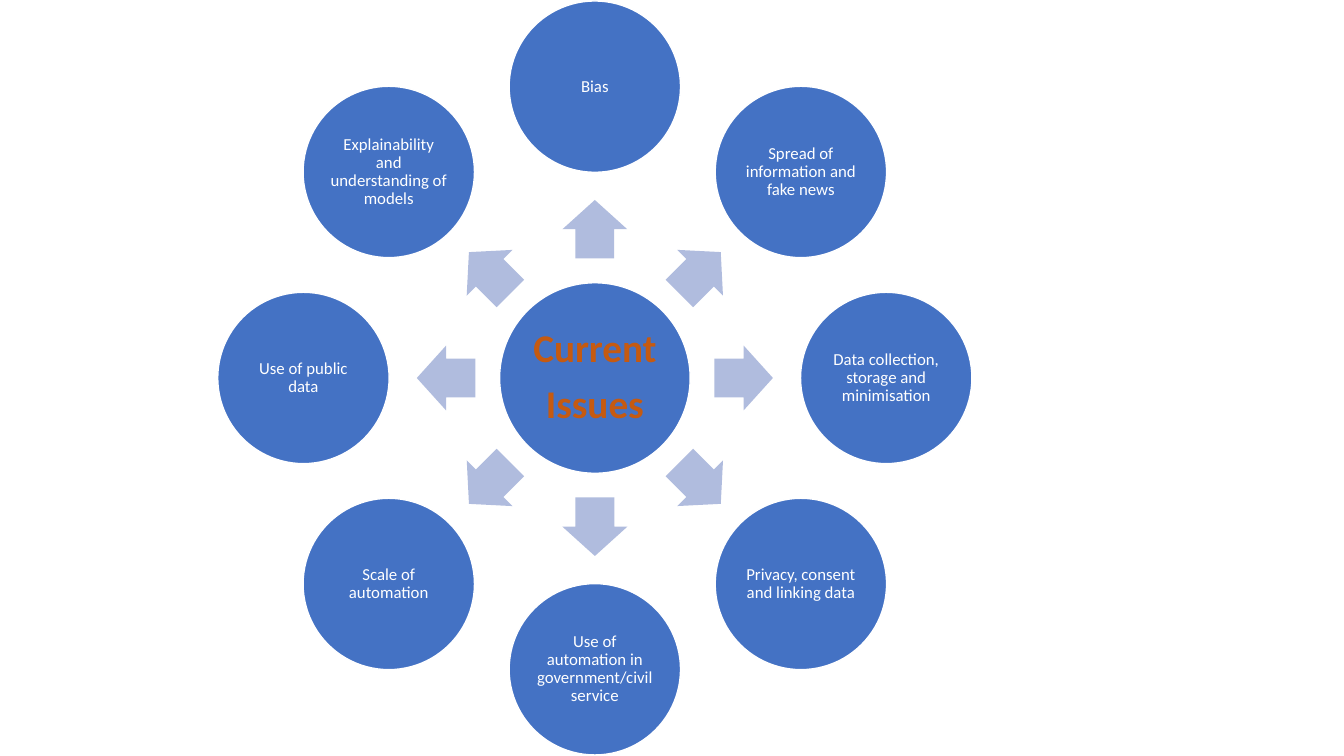
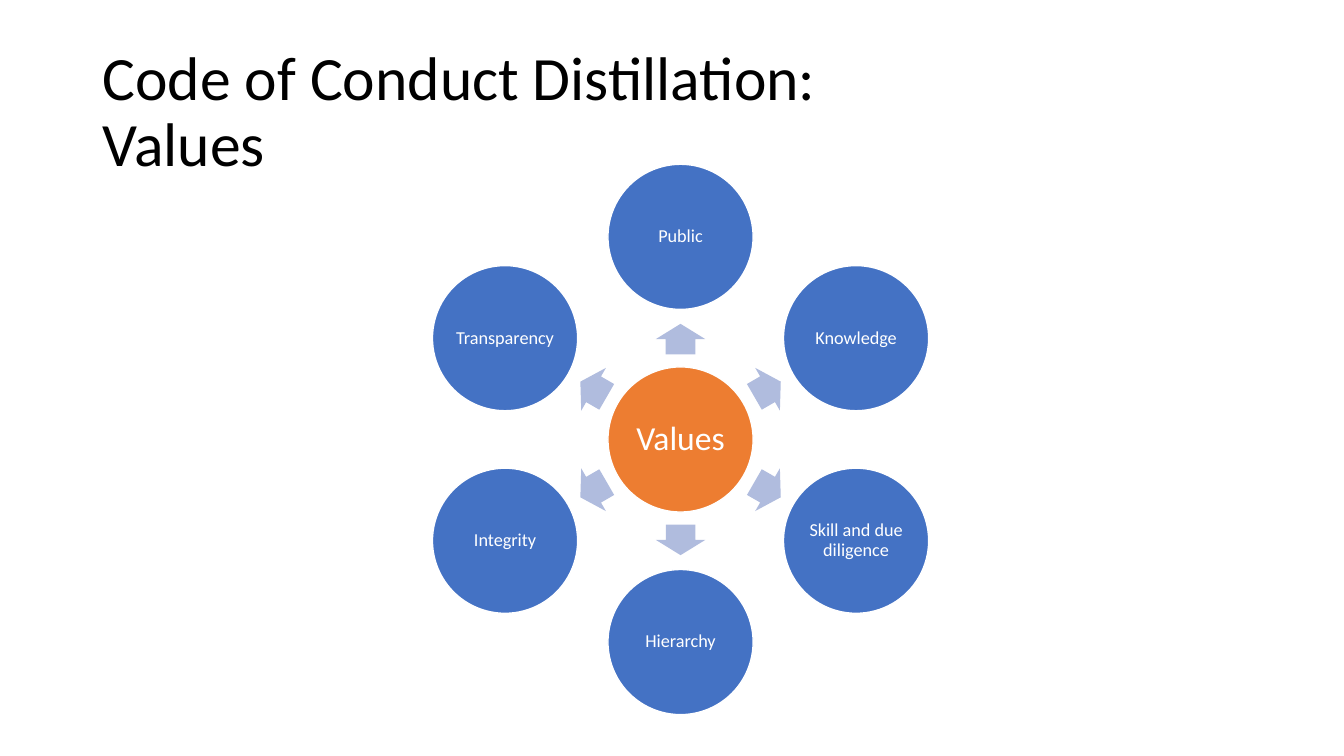
from dataclasses import dataclass
from math import cos, radians, sin

from pptx import Presentation
from pptx.dml.color import RGBColor as RGB
from pptx.enum.shapes import MSO_SHAPE as SHAPE
from pptx.enum.text import MSO_ANCHOR as ANCHOR, PP_ALIGN as ALIGN
from pptx.util import Inches, Pt


@dataclass(frozen=True)
class Theme:
    font: str = "Calibri"
    white: RGB = RGB.from_string("FFFFFF")
    black: RGB = RGB.from_string("000000")
    blue: RGB = RGB.from_string("4472C4")
    pale_blue: RGB = RGB.from_string("B0BCDE")
    orange: RGB = RGB.from_string("ED7D31")
    rust: RGB = RGB.from_string("C55A11")
    title_size: int = 44
    line_spacing: float = 0.9
    space_after: float = 0.35  # share of the type size


THEME = Theme()


@dataclass(frozen=True)
class Hub:
    lines: tuple
    diameter: float
    size: int
    color: RGB
    fill: RGB
    bold: bool = False


def write(tf, lines, size, color, align, bold=False):
    """Fill a text frame with one paragraph for each line."""
    tf.word_wrap = True
    tf.vertical_anchor = ANCHOR.MIDDLE
    for i, line in enumerate(lines):
        p = tf.add_paragraph() if i else tf.paragraphs[0]
        p.text = line
        p.alignment = align
        p.line_spacing = THEME.line_spacing
        p.space_after = Pt(size * THEME.space_after)
        for r in p.runs:
            r.font.name = THEME.font
            r.font.size = Pt(size)
            r.font.bold = bold
            r.font.color.rgb = color


def add_centred(shapes, kind, cx, cy, w, h, fill):
    """Add a filled shape around a centre point."""
    sp = shapes.add_shape(kind, Inches(cx - w / 2), Inches(cy - h / 2),
                          Inches(w), Inches(h))
    sp.shadow.inherit = False
    sp.fill.solid()
    sp.fill.fore_color.rgb = fill
    sp.line.fill.background()
    return sp


def add_circle(shapes, cx, cy, diameter, fill, lines, size, color, bold=False):
    sp = add_centred(shapes, SHAPE.OVAL, cx, cy, diameter, diameter, fill)
    sp.line.color.rgb = THEME.white
    sp.line.width = Pt(1)
    tf = sp.text_frame
    tf.margin_left = tf.margin_right = Inches(0.02)
    tf.margin_top = tf.margin_bottom = Inches(0.02)
    write(tf, lines, size, color, ALIGN.CENTER, bold)


def add_arrow(shapes, cx, cy, length, width, angle):
    sp = add_centred(shapes, SHAPE.RIGHT_ARROW, cx, cy, length, width,
                     THEME.pale_blue)
    sp.adjustments[0], sp.adjustments[1] = 0.6, 0.5
    sp.rotation = angle % 360


def add_wheel(s, left, top, side, hub, labels, diameter, size):
    """Draw a hub with arrows out to a ring of circles in a square box."""
    shapes = s.shapes.add_group_shape().shapes
    cx, cy = left + side / 2, top + side / 2
    ring = (side - diameter) / 2
    gap = ring - (hub.diameter + diameter) / 2
    arrow_ring = hub.diameter / 2 + 0.485 * gap

    def polar(radius, angle):
        a = radians(angle)
        return cx + radius * cos(a), cy + radius * sin(a)

    # Hub
    add_circle(shapes, cx, cy, hub.diameter, hub.fill, hub.lines, hub.size,
               hub.color, hub.bold)

    # Spokes, clockwise from the top
    for i, label in enumerate(labels):
        angle = i * 360 / len(labels) - 90
        add_arrow(shapes, *polar(arrow_ring, angle), 0.53 * gap,
                  0.34 * hub.diameter, angle)
        add_circle(shapes, *polar(ring, angle), diameter, THEME.blue, [label],
                   size, THEME.white)


def add_title(s, left, top, width, height, text):
    tb = s.shapes.add_textbox(Inches(left), Inches(top), Inches(width),
                              Inches(height))
    write(tb.text_frame, [text], THEME.title_size, THEME.black, ALIGN.LEFT)


def issues_slide(s):
    hub = Hub(("Current", "Issues"), 1.89, 28, THEME.rust, THEME.blue, True)
    labels = [
        "Bias",
        "Spread of information and fake news",
        "Data collection, storage and minimisation",
        "Privacy, consent and linking data",
        "Use of automation in government/civil service",
        "Scale of automation",
        "Use of public data",
        "Explainability and understanding of models",
    ]
    add_wheel(s, 2.16, 0.01, 7.48, hub, labels, diameter=1.7, size=12)


def values_slide(s):
    add_title(s, 0.92, 0.4, 11.5, 1.45, "Code of Conduct Distillation:\nValues")
    hub = Hub(("Values",), 1.44, 24, THEME.white, THEME.orange)
    labels = ["Public", "Knowledge", "Skill and due diligence", "Hierarchy",
              "Integrity", "Transparency"]
    add_wheel(s, 4.02, 1.63, 5.46, hub, labels, diameter=1.44, size=13)


def main():
    prs = Presentation()
    prs.slide_width, prs.slide_height = Inches(13.33), Inches(7.5)
    blank = prs.slide_layouts[6]
    for build in (issues_slide, values_slide):
        build(prs.slides.add_slide(blank))
    prs.save("out.pptx")


if __name__ == "__main__":
    main()
